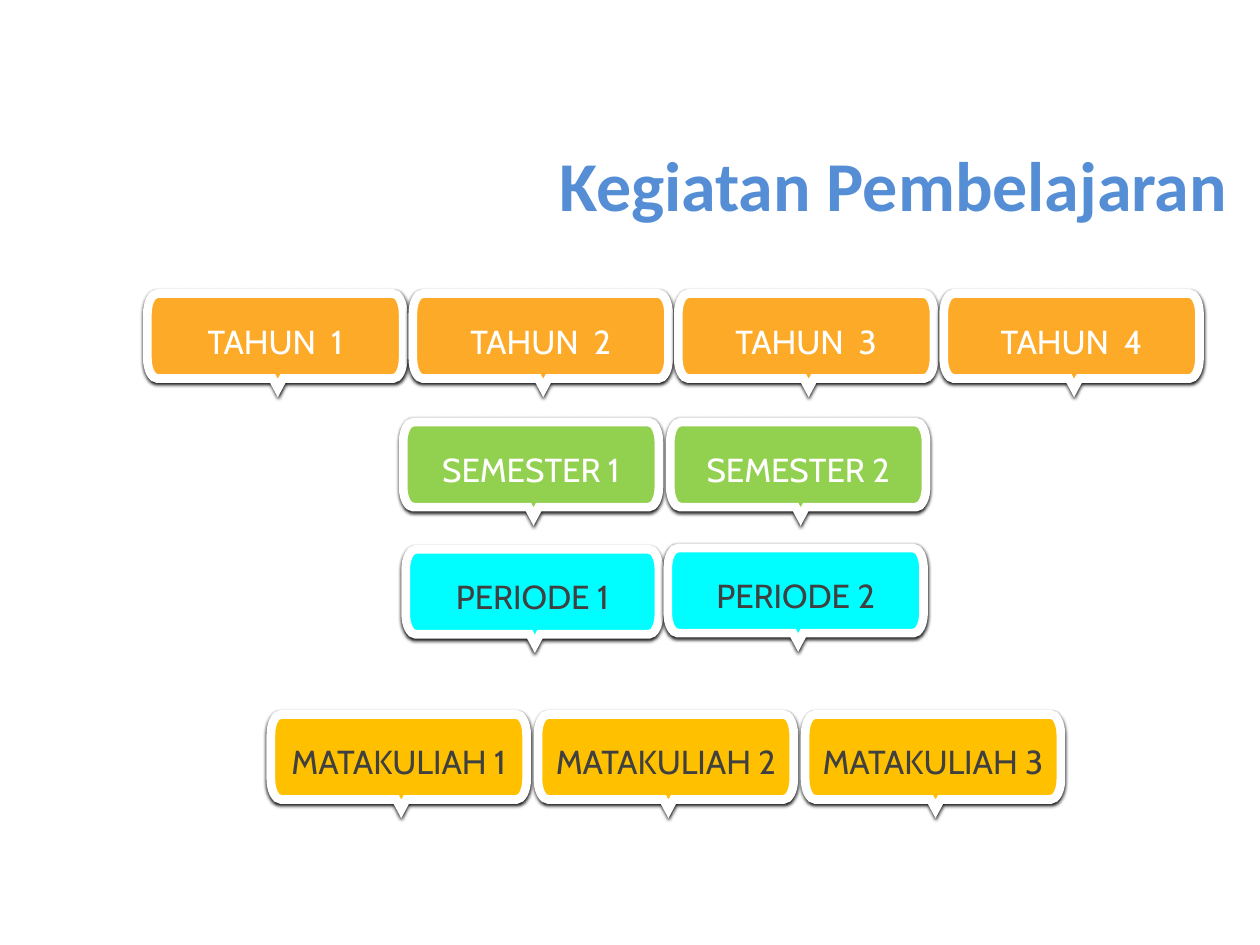
from dataclasses import dataclass

from lxml.etree import SubElement
from pptx import Presentation
from pptx.dml.color import RGBColor
from pptx.enum.text import MSO_ANCHOR, PP_ALIGN
from pptx.oxml.ns import qn
from pptx.util import Inches, Pt


@dataclass(frozen=True)
class Theme:
    """Colours, fonts and type sizes of the slide."""
    title: str = "558ED5"
    orange: str = "FDAA29"
    green: str = "92D050"
    cyan: str = "00FDFF"
    gold: str = "FFC000"
    light: str = "FFFFFF"
    dark: str = "404040"
    shadow: str = "000000"
    title_font: str = "Calibri"
    label_font: str = "Cabin"
    title_size: int = 40
    label_size: int = 19
    outline: int = 5


@dataclass(frozen=True)
class Row:
    """A run of equally spaced, numbered callouts."""
    label: str
    numbers: tuple
    left: float
    top: float
    right: float
    fill: str
    ink: str
    width: float = 2.03


THEME = Theme()
HEIGHT, BODY_SHARE = 0.75, 0.9
TAIL_SHARE, TAIL_HALF = 0.51, 0.04
CORNER_WIDTH, CORNER_HEIGHT = 0.08, 0.16
CURVE_PULL = 0.55
FLAT_CORNERS, STEEP_CORNERS = (0, 7), (2, 9)
ROWS = (
    Row("TAHUN  ", (1, 2, 3, 4), 1.17, 2.33, 9.52, THEME.orange, THEME.light),
    Row("SEMESTER ", (1, 2), 3.2, 3.35, 7.35, THEME.green, THEME.light),
    Row("PERIODE ", (1,), 3.22, 4.36, 5.23, THEME.cyan, THEME.dark, width=2.01),
    Row("PERIODE ", (2,), 5.3, 4.35, 7.33, THEME.cyan, THEME.dark),
    Row("MATAKULIAH ", (1, 2, 3), 2.15, 5.67, 8.42, THEME.gold, THEME.dark),
)


def add_span(para, text, font, size, colour, bold=False):
    """Add one formatted run to a paragraph."""
    span = para.add_run()
    span.text = text
    span.font.name = font
    span.font.size = Pt(size)
    span.font.bold = bold
    span.font.color.rgb = RGBColor.from_string(colour)


def callout_outline(left, top, width):
    """Return the anchor points of a rounded box with a tail below."""
    right, bottom = left + width, top + HEIGHT * BODY_SHARE
    near_x, far_x = left + CORNER_WIDTH, right - CORNER_WIDTH
    near_y, far_y = top + CORNER_HEIGHT, bottom - CORNER_HEIGHT
    tip = left + width * TAIL_SHARE
    return [(near_x, top), (left, near_y), (left, far_y), (near_x, bottom),
            (tip - TAIL_HALF, bottom), (tip, top + HEIGHT), (tip + TAIL_HALF, bottom),
            (far_x, bottom), (right, far_y), (right, near_y), (far_x, top), (near_x, top)]


def pull(point, elbow):
    """Return the control point between an anchor and its elbow."""
    return tuple(round(a + CURVE_PULL * (b - a)) for a, b in zip(point, elbow))


def round_corners(shape):
    """Turn the corner segments of a callout into curves."""
    points = [(int(point.get("x")), int(point.get("y")))
              for point in shape.element.iter(qn("a:pt"))]
    segments = list(shape.element.iter(qn("a:lnTo")))
    for index in FLAT_CORNERS + STEEP_CORNERS:
        start, end = points[index:index + 2]
        elbow = (end[0], start[1]) if index in FLAT_CORNERS else (start[0], end[1])
        segment = segments[index]
        segment.clear()
        segment.tag = qn("a:cubicBezTo")
        for x, y in (pull(start, elbow), pull(end, elbow), end):
            SubElement(segment, qn("a:pt"), x=str(x), y=str(y))


def add_shadow(shape):
    """Give a shape a small, dark shadow below it."""
    shape.shadow.inherit = False
    effects = shape.element.spPr.find(qn("a:effectLst"))
    shadow = SubElement(effects, qn("a:outerShdw"), blurRad=str(Pt(2)), dist=str(Pt(1)),
                        dir="5400000", algn="ctr", rotWithShape="0")
    colour = SubElement(shadow, qn("a:srgbClr"), val=THEME.shadow)
    SubElement(colour, qn("a:alpha"), val="90000")


def add_callout(page, row, left, text):
    """Draw one labelled callout."""
    points = [(Inches(x), Inches(y)) for x, y in callout_outline(left, row.top, row.width)]
    builder = page.shapes.build_freeform(*points[0], scale=1.0)
    builder.add_line_segments(points[1:], close=True)
    box = builder.convert_to_shape()
    round_corners(box)
    box.fill.solid()
    box.fill.fore_color.rgb = RGBColor.from_string(row.fill)
    box.line.color.rgb = RGBColor.from_string(THEME.light)
    box.line.width = Pt(THEME.outline)
    SubElement(box.element.spPr.find(qn("a:ln")), qn("a:miter"), lim="800000")
    add_shadow(box)
    frame = box.text_frame
    frame.word_wrap = True
    frame.vertical_anchor = MSO_ANCHOR.MIDDLE
    frame.margin_left = frame.margin_right = frame.margin_top = frame.margin_bottom = 0
    para = frame.paragraphs[0]
    para.alignment = PP_ALIGN.CENTER
    add_span(para, text, THEME.label_font, THEME.label_size, row.ink)


def add_row(page, row):
    """Spread the callouts of a row evenly between its two edges."""
    gaps = max(len(row.numbers) - 1, 1)
    pitch = (row.right - row.left - row.width) / gaps
    for column, number in enumerate(row.numbers):
        add_callout(page, row, row.left + column * pitch, f"{row.label}{number}")


def add_title(page, text):
    """Fill and place the title placeholder."""
    title = page.shapes.title
    title.left, title.top = Inches(3.67), Inches(0.83)
    title.width, title.height = Inches(6.17), Inches(1.25)
    title.text_frame.vertical_anchor = MSO_ANCHOR.MIDDLE
    para = title.text_frame.paragraphs[0]
    para.alignment = PP_ALIGN.RIGHT
    add_span(para, text, THEME.title_font, THEME.title_size, THEME.title, bold=True)


def main():
    """Build and save the slide."""
    deck = Presentation()
    deck.slide_width, deck.slide_height = Inches(10), Inches(7.5)
    page = deck.slides.add_slide(deck.slide_layouts[5])
    add_title(page, "Kegiatan Pembelajaran")
    for row in ROWS:
        add_row(page, row)
    deck.save("out.pptx")


if __name__ == "__main__":
    main()
